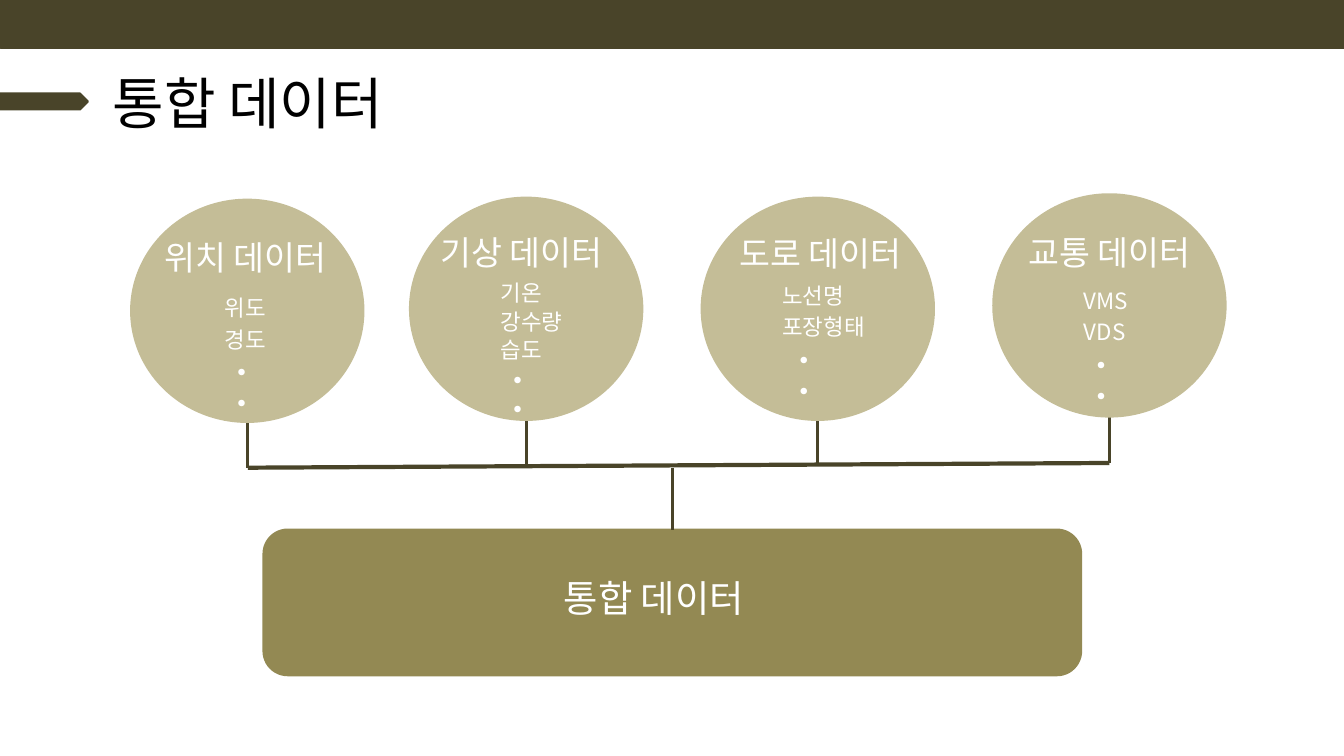
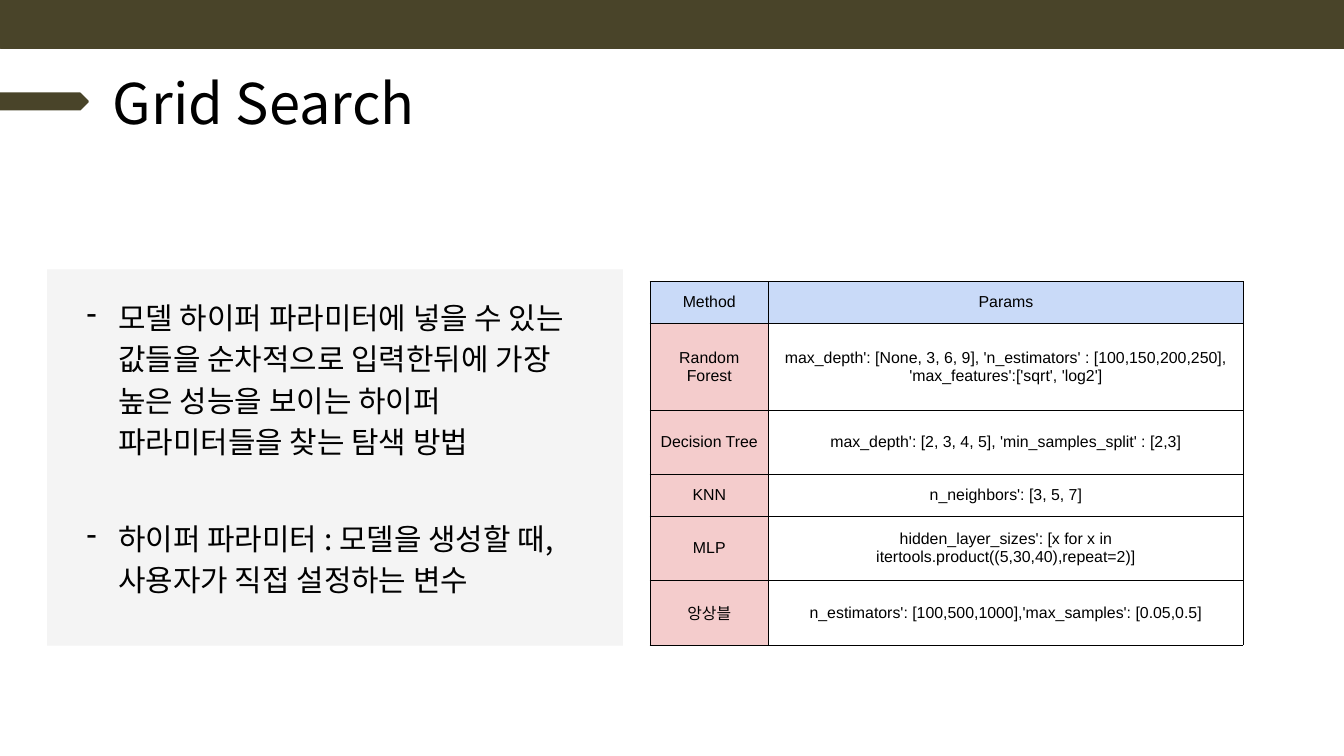
from lxml.etree import SubElement
from pptx import Presentation
from pptx.dml.color import RGBColor
from pptx.enum.shapes import MSO_CONNECTOR, MSO_SHAPE
from pptx.enum.text import MSO_ANCHOR, MSO_AUTO_SIZE, PP_ALIGN
from pptx.oxml.ns import qn
from pptx.util import Inches, Pt

DARK, SAND, OLIVE = "494429", "C4BD97", "938953"
BLACK, WHITE, GREY = "000000", "FFFFFF", "F4F4F4"
BLUE, PINK = "C9DAF8", "F4CCCC"
SANS, ARIAL = "Noto Sans CJK KR", "Arial"
SIDES = ("left", "right", "top", "bottom")
CENTER = {"alignment": PP_ALIGN.CENTER}

GROUPS = [
    {"at": (1.95, 2.97), "end": 6.96, "name": "위치 데이터",
     "head": (0.36, 0.72, 2.69), "items": ["위도", "경도"],
     "list": (1.21, 1.32, 1.52, 2), "dot": 0.15, "lead": 1},
    {"at": (6.1, 2.94), "end": 6.96, "name": "기상 데이터",
     "head": (0.21, 0.68, 2.89), "items": ["기온", "강수량", "습도"],
     "list": (1.17, 1.17, 1.83, 2.44), "dot": 0.15, "lead": 0.9},
    {"at": (10.44, 2.94), "end": 6.89, "name": "도로 데이터",
     "head": (0.43, 0.7, 2.67), "items": ["노선명", "포장형태"],
     "list": (1.02, 1.17, 2.05, 2.37), "dot": 0.22, "lead": 1},
    {"at": (14.78, 2.89), "end": 6.89, "name": "교통 데이터",
     "head": (0.28, 0.73, 2.89), "items": ["VMS", "VDS"],
     "list": (1.17, 1.29, 1.21, 2.08), "dot": 0.15, "lead": 1},
]
ROUND = (3.46, 3.31)

NOTES = [
    "모델 하이퍼 파라미터에 넣을 수 있는 값들을 순차적으로 입력한뒤에 "
    "가장 높은 성능을 보이는 하이퍼 파라미터들을 찾는 탐색 방법",
    "하이퍼 파라미터 : 모델을 생성할 때, 사용자가 직접 설정하는 변수",
]
ROWS = [
    (0.62, "Method", ["Params"]),
    (1.29, "Random Forest",
     ["max_depth': [None, 3, 6, 9], 'n_estimators' : [100,150,200,250],",
      "'max_features':['sqrt', 'log2']"]),
    (0.96, "Decision Tree",
     ["max_depth': [2, 3, 4, 5], 'min_samples_split' : [2,3]"]),
    (0.62, "KNN", ["n_neighbors': [3, 5, 7]"]),
    (0.96, "MLP",
     ["hidden_layer_sizes': [x for x in "
      "itertools.product((5,30,40),repeat=2)]"]),
    (0.96, "앙상블",
     ["n_estimators': [100,500,1000],'max_samples': [0.05,0.5]"]),
]


def tint(code):
    return RGBColor.from_string(code)


def apply(thing, values):
    for key, value in values.items():
        setattr(thing, key, value)


def inset(thing, sizes):
    apply(thing, {f"margin_{side}": Inches(size)
                  for side, size in zip(SIDES, sizes)})


def paint(fill, code):
    fill.solid()
    fill.fore_color.rgb = tint(code)


def shape(slide, kind, box, code, width=2):
    item = slide.shapes.add_shape(kind, *map(Inches, box))
    item.shadow.inherit = False
    paint(item.fill, code)
    if width:
        item.line.color.rgb = tint(code)
        item.line.width = Pt(width)
    else:
        item.line.fill.background()
    return item


def line(slide, start, end, width=3):
    item = slide.shapes.add_connector(
        MSO_CONNECTOR.STRAIGHT, *map(Inches, start + end))
    item.line.color.rgb = tint(DARK)
    item.line.width = Pt(width)
    SubElement(item._element.spPr, qn("a:effectLst"))


def write(frame, texts, size, code, face=SANS, gap=0, form=None):
    for index, text in enumerate(texts):
        para = frame.paragraphs[0] if index == 0 else frame.add_paragraph()
        run = para.add_run()
        run.text = text
        run.font.color.rgb = tint(code)
        apply(run.font, {"size": Pt(size), "name": face})
        SubElement(run._r.get_or_add_rPr(), qn("a:ea"), typeface=SANS)
        apply(para, form or {})
        if index and gap:
            para.space_before = Pt(gap)


def text(slide, box, texts, size, code, pad=(0.18, 0.18, 0.09, 0.09),
         format=None, **style):
    frame = slide.shapes.add_textbox(*map(Inches, box)).text_frame
    inset(frame, pad)
    apply(frame, {"word_wrap": True, **(format or {})})
    write(frame, texts, size, code, **style)
    return frame


def label(slide, box, name, size, lead):
    text(slide, box, [name], size, WHITE, pad=(0, 0, 0, 0),
         format={"auto_size": MSO_AUTO_SIZE.SHAPE_TO_FIT_TEXT},
         form={**CENTER, "line_spacing": lead})


def indent(para, left, hang=0):
    props = para._p.get_or_add_pPr()
    props.set("marL", str(Inches(left)))
    props.set("indent", str(Inches(hang)))
    return props


def header(slide, title):
    text(slide, (1.5, 0.31, 17, 2.41), [title], 60, BLACK,
         format={"vertical_anchor": MSO_ANCHOR.MIDDLE})
    shape(slide, MSO_SHAPE.PENTAGON, (-0.58, 1.39, 1.89, 0.24), DARK)
    shape(slide, MSO_SHAPE.RECTANGLE, (0, -0.24, 20, 0.96), DARK, 0.75)


def bubble(slide, group):
    left, top = group["at"]
    wide, high = ROUND
    mid = left + wide / 2
    line(slide, (mid, top + high - 0.1), (mid, group["end"]))
    shape(slide, MSO_SHAPE.OVAL, (left, top, wide, high), SAND)
    x, y, width = group["head"]
    label(slide, (left + x, top + y, width, 0.42), group["name"], 36, 0.69)
    x, y, width, height = group["list"]
    frame = text(slide, (left + x, top + y, width, height),
                 group["items"] + ["∙"] * 2, 24, WHITE, gap=4.8,
                 form={"line_spacing": group["lead"]})
    for para in frame.paragraphs[-2:]:
        indent(para, group["dot"])


def target(slide, box):
    left, top, wide, high = box
    shape(slide, MSO_SHAPE.ROUNDED_RECTANGLE, box, OLIVE)
    label(slide, (left + 3.87, top + 0.91, 3.88, 0.42),
          "통합 데이터", 40, 0.62)
    mid = left + wide / 2
    line(slide, (mid, top - 0.92), (mid, top))


def panel(slide, box):
    left, top, wide, high = box
    shape(slide, MSO_SHAPE.RECTANGLE, box, GREY, 0)
    frame = text(slide, (left + 0.38, top + 0.28, wide - 0.49, high - 0.47),
                 NOTES, 32, BLACK, gap=60, form={"line_spacing": 1.15})
    for para in frame.paragraphs:
        props = indent(para, 0.5, -0.47)
        color = SubElement(props, qn("a:buClr"))
        SubElement(color, qn("a:srgbClr"), val=BLACK)
        SubElement(props, qn("a:buChar"), char="-")


def border(cell):
    props = cell._tc.get_or_add_tcPr()
    for side in ("lnL", "lnR", "lnT", "lnB"):
        edge = SubElement(props, qn(f"a:{side}"), w=str(Pt(0.75)))
        fill = SubElement(edge, qn("a:solidFill"))
        SubElement(fill, qn("a:srgbClr"), val=BLACK)


def grid(slide, box):
    table = slide.shapes.add_table(
        len(ROWS), 2, *map(Inches, box)).table
    apply(table, {"first_row": False, "horz_banding": False})
    for column, width in zip(table.columns, (1.77, 7.06)):
        column.width = Inches(width)
    for r, (height, name, params) in enumerate(ROWS):
        table.rows[r].height = Inches(height)
        for c, texts in enumerate(([name], params)):
            cell = table.cell(r, c)
            border(cell)
            inset(cell, [0.1] * 4)
            cell.vertical_anchor = MSO_ANCHOR.MIDDLE
            if r == 0 or c == 0:
                paint(cell.fill, PINK if r else BLUE)
            else:
                cell.fill.background()
            write(cell.text_frame, texts, 17, BLACK, ARIAL, form=CENTER)


def merge(slide):
    for group in GROUPS:
        bubble(slide, group)
    header(slide, "통합 데이터")
    target(slide, (3.92, 7.88, 12.17, 2.17))
    line(slide, (3.69, 6.96), (16.51, 6.89), 4.5)


def search(slide):
    panel(slide, (0.7, 4.01, 8.57, 5.6))
    header(slide, "Grid Search")
    grid(slide, (9.67, 4.19, 8.83, 5.41))


def main():
    deck = Presentation()
    apply(deck, {"slide_width": Inches(20), "slide_height": Inches(11.25)})
    for build in (merge, search):
        build(deck.slides.add_slide(deck.slide_layouts[6]))
    deck.save("out.pptx")


if __name__ == "__main__":
    main()
